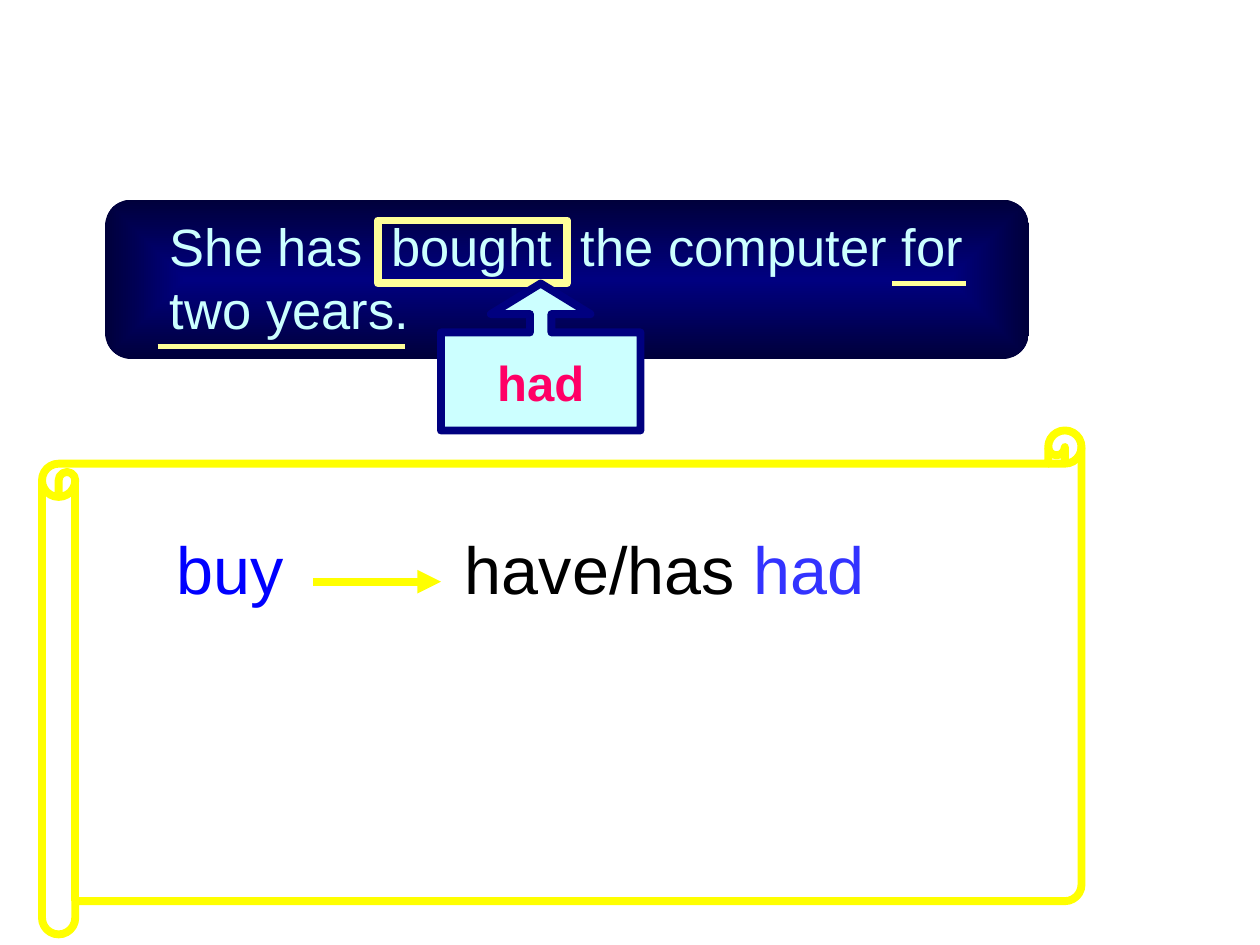
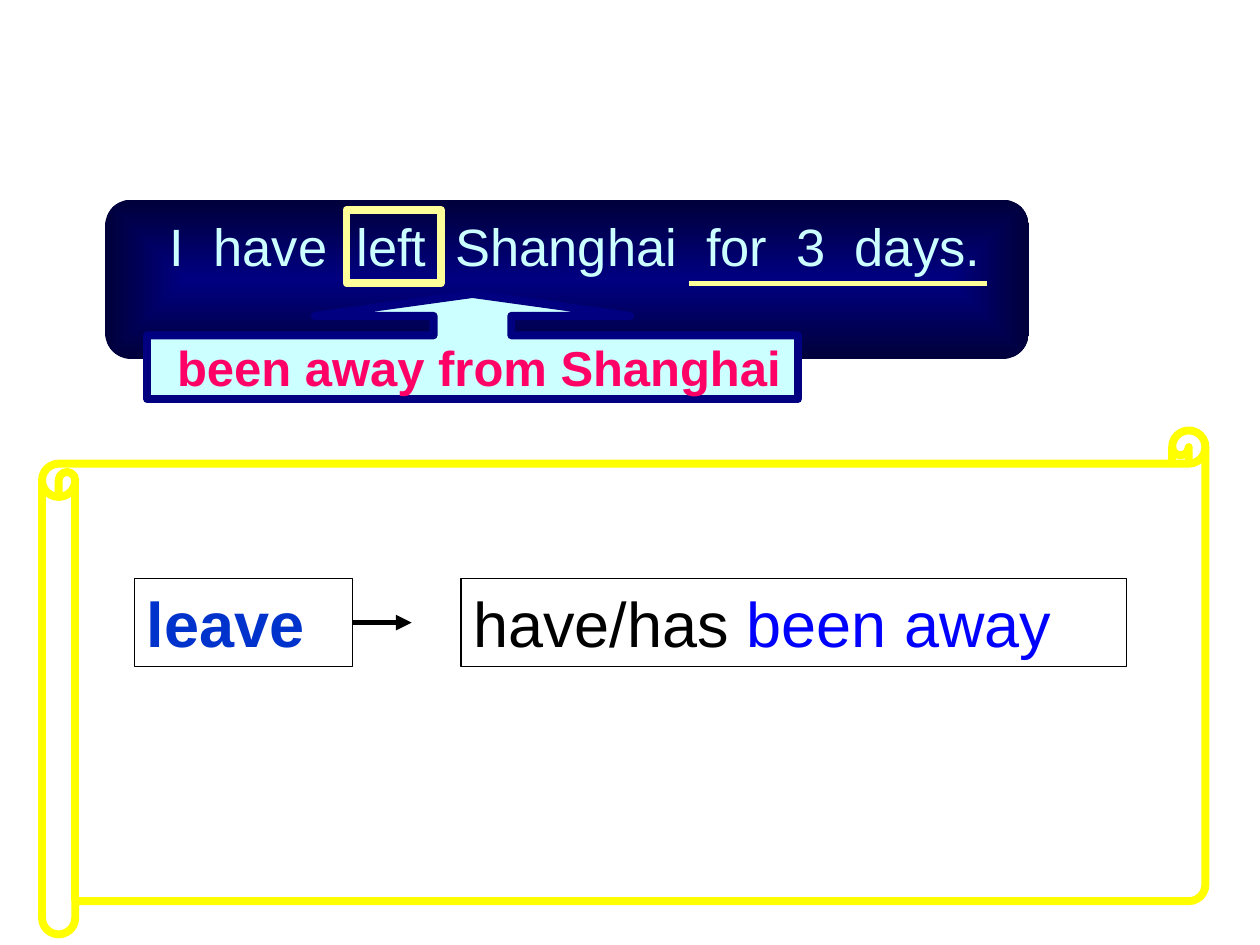
import pptx
import pptx.util
import pptx.dml.color
import pptx.enum.shapes
import pptx.enum.text
import pptx.oxml.ns
import lxml.etree

KIND = pptx.enum.shapes.MSO_SHAPE
ALIGN = pptx.enum.text.PP_ALIGN
ANCHOR = pptx.enum.text.MSO_ANCHOR
qn = pptx.oxml.ns.qn

WIDE, HIGH = 10, 7.5
COLS, ROWS = 120, 90  # slide grid
HUES = {
    "navy": "000080", "night": "00003B", "ice": "CCFFFF", "cream": "FFFF99",
    "yellow": "FFFF00", "pink": "FF0066", "blue": "0000FF", "iris": "3333FF",
    "cobalt": "0033CC", "black": "000000",
}
CARD = (10, 19, 88, 15.2)
FRAME = {"word_wrap": True, "margin_left": pptx.util.Inches(0.1),
         "margin_right": pptx.util.Inches(0.1),
         "margin_top": pptx.util.Inches(0.05),
         "margin_bottom": pptx.util.Inches(0.05)}


def hue(name):
    return pptx.dml.color.RGBColor.from_string(HUES[name])


def col(count):
    return pptx.util.Inches(WIDE * count / COLS)


def row(count):
    return pptx.util.Inches(HIGH * count / ROWS)


def place(box, part):
    """Turn a part's grid box, relative to its parent box, into lengths."""
    left, top, width, height = part
    return col(box[0] + left), row(box[1] + top), col(width), row(height)


def apply(item, form):
    for key, value in form.items():
        setattr(item, key, value)


def add_shape(slide, box, part, kind, line=None, fill=None, turns=()):
    shape = slide.shapes.add_shape(kind, *place(box, part))
    shape.shadow.inherit = False
    for index, value in enumerate(turns):
        shape.adjustments[index] = value
    if fill:
        shape.fill.solid()
        shape.fill.fore_color.rgb = hue(fill)
    else:
        shape.fill.background()
    if line:
        shape.line.color.rgb = hue(line[0])
        shape.line.width = pptx.util.Pt(line[1])
    else:
        shape.line.fill.background()
    return shape


def write(shape, runs, size, align=ALIGN.LEFT, **frame):
    """Fill a shape with one paragraph of (text, colour, bold) runs."""
    apply(shape.text_frame, {**FRAME, "vertical_anchor": ANCHOR.TOP, **frame})
    para = shape.text_frame.paragraphs[0]
    para.alignment = align
    for text, color, bold in runs:
        run = para.add_run()
        run.text = text
        apply(run.font, {"name": "Arial", "size": pptx.util.Pt(size), "bold": bold})
        run.font.color.rgb = hue(color)


def add_text(slide, box, part, runs, size):
    write(slide.shapes.add_textbox(*place(box, part)), runs, size)


def add_line(slide, box, start, end, level, line, head=False):
    """Draw a level line from column start to column end."""
    y = row(box[1] + level)
    rule = slide.shapes.add_connector(
        pptx.enum.shapes.MSO_CONNECTOR.STRAIGHT,
        col(box[0] + start), y, col(box[0] + end), y)
    rule.line.color.rgb = hue(line[0])
    rule.line.width = pptx.util.Pt(line[1])
    if head:
        stroke = rule.line._get_or_add_ln()
        lxml.etree.SubElement(stroke, qn("a:tailEnd"), type="triangle")
    lxml.etree.SubElement(rule._element.spPr, qn("a:effectLst"))
    return rule


def glow(shape):
    """Shade from navy in the middle to night at the edges."""
    shape.fill.gradient()
    for stop, (spot, name) in zip(shape.fill.gradient_stops,
                                  ((0, "navy"), (1, "night"))):
        stop.position = spot
        stop.color.rgb = hue(name)
    grad = shape._element.spPr.find(qn("a:gradFill"))
    grad.remove(grad.find(qn("a:lin")))
    shade = lxml.etree.SubElement(grad, qn("a:path"), {"path": "rect"})
    sides = {side: "50000" for side in "ltrb"}
    lxml.etree.SubElement(shade, qn("a:fillToRect"), sides)


def add_card(slide, box, text, mark, rules, note):
    """Sentence card with the wrong word framed and its correction below."""
    glow(add_shape(slide, box, (0, 0, *box[2:]), KIND.ROUNDED_RECTANGLE,
                   turns=[0.167]))
    add_text(slide, box, (5, 0.8, 82, 13.2), [(text, "ice", False)], 30)
    for start, end, level in rules:
        add_line(slide, box, start, end, level, ("cream", 3))
    add_shape(slide, box, mark, KIND.RECTANGLE, ("cream", 4.5))
    call = add_shape(slide, box, note["part"], KIND.UP_ARROW_CALLOUT,
                     ("navy", 4.5), "ice", note["turns"])
    write(call, [(note["text"], "pink", True)], 28, ALIGN.CENTER,
          vertical_anchor=ANCHOR.MIDDLE,
          margin_left=pptx.util.Inches(note["inset"]))


def add_scroll(slide, box):
    add_shape(slide, box, (0, 0, *box[2:]), KIND.HORIZONTAL_SCROLL,
              ("yellow", 4.5), turns=[0.066])


def add_plain(slide, box):
    """Scroll with the verb change as plain text."""
    add_scroll(slide, box)
    top, tall = 8.7, 8.9
    add_text(slide, box, (11.6, top, 14.4, tall), [("buy", "blue", False)], 38)
    add_line(slide, box, 25.8, 38, 14.4, ("yellow", 4.5), head=True)
    add_text(slide, box, (39.1, top, 46.2, tall),
             [("have/has ", "black", False), ("had", "iris", False)], 38)


def add_boxed(slide, box):
    """Scroll with the verb change in outlined boxes."""
    add_scroll(slide, box)
    top, tall = 14.1, 8.4
    cells = []
    for left, width, runs in (
            (8.8, 20.8, [("leave", "cobalt", True)]),
            (39.9, 63.4, [("have/has ", "black", False),
                          ("been away", "blue", False)])):
        cell = add_shape(slide, box, (left, top, width, tall),
                         KIND.RECTANGLE, ("black", 0.75))
        write(cell, runs, 36)
        cells.append(cell)
    arrow = add_line(slide, box, 29.6, 35.2, top + tall / 2, ("black", 3), head=True)
    arrow.begin_connect(cells[0], 3)


def main():
    deck = pptx.Presentation()
    deck.slide_width = pptx.util.Inches(WIDE)
    deck.slide_height = pptx.util.Inches(HIGH)
    blank = deck.slide_layouts[6]

    # buy: had
    slide = deck.slides.add_slide(blank)
    add_card(slide, CARD, "She has  bought  the computer for two years.",
             (26, 2, 18, 6), [(75, 82, 8), (5, 28.6, 14)],
             {"part": (32, 8, 19, 14), "text": "had", "inset": 0.1,
              "turns": [0.146, 0.339, 0.208, 0.667]})
    add_plain(slide, (4, 41, 99, 48))

    # leave: been away
    slide = deck.slides.add_slide(blank)
    add_card(slide, CARD, "I  have  left  Shanghai  for  3  days.",
             (23, 1, 9, 7), [(55.6, 84, 8)],
             {"part": (4, 9, 62, 10), "text": "been away from Shanghai",
              "inset": 0.2, "turns": [0.74, 1.503, 0.208, 0.606]})
    add_boxed(slide, (4, 41, 110.8, 48))

    deck.save("out.pptx")


if __name__ == "__main__":
    main()
